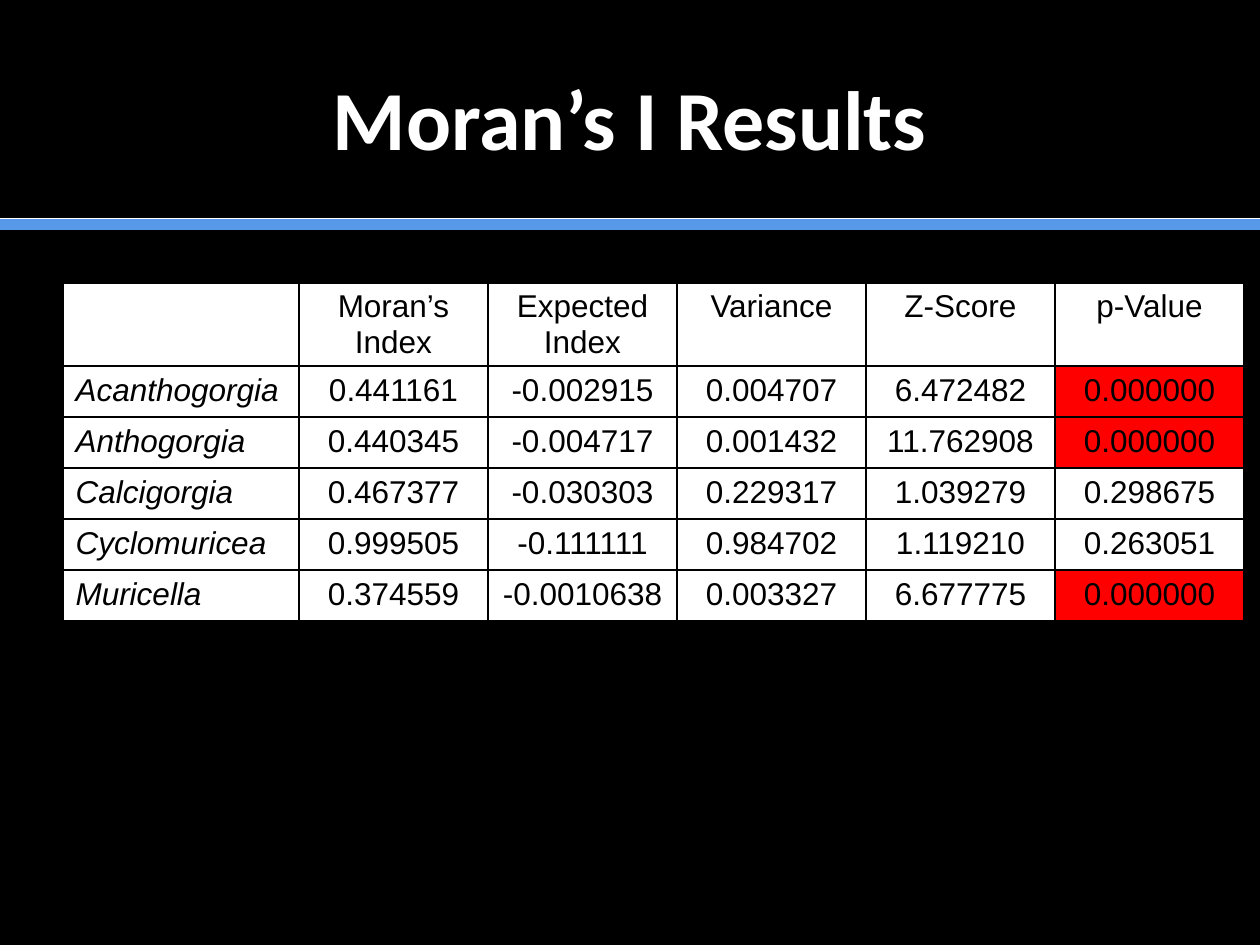
from lxml.etree import SubElement
from pptx import Presentation
from pptx.dml.color import RGBColor
from pptx.enum.shapes import MSO_CONNECTOR
from pptx.enum.text import MSO_ANCHOR, PP_ALIGN
from pptx.oxml.ns import qn
from pptx.util import Emu, Pt

PX_PER_INCH = 126
SLIDE_W, SLIDE_H = 1260, 945
COLORS = {
    "background": "000000",
    "title": "FFFFFF",
    "band": "5799E8",
    "hairline": "FFFFFF",
    "ink": "000000",
    "cell": "FFFFFF",
    "significant": "FF0000",
}
HEADERS = ["", "Moran’s Index", "Expected Index", "Variance", "Z-Score", "p-Value"]
GENERA = [
    ["Acanthogorgia", "0.441161", "-0.002915", "0.004707", "6.472482", "0.000000"],
    ["Anthogorgia", "0.440345", "-0.004717", "0.001432", "11.762908", "0.000000"],
    ["Calcigorgia", "0.467377", "-0.030303", "0.229317", "1.039279", "0.298675"],
    ["Cyclomuricea", "0.999505", "-0.111111", "0.984702", "1.119210", "0.263051"],
    ["Muricella", "0.374559", "-0.0010638", "0.003327", "6.677775", "0.000000"],
]
P_VALUE_COLUMN = len(HEADERS) - 1
SIGNIFICANCE = 0.05


def px(length):
    return Emu(round(length * 914400 / PX_PER_INCH))


def rgb(name):
    return RGBColor.from_string(COLORS[name])


class SlideBuilder:
    """Holds the style and the slide being built."""

    title_font, title_size = "Calibri", 48
    body_font, body_size = "Arial", 18

    def __init__(self, slide):
        self.slide = slide

    def background(self, color):
        fill = self.slide.background.fill
        fill.solid()
        fill.fore_color.rgb = rgb(color)

    def run(self, paragraph, text, font, size, color, bold=False, italic=False):
        run = paragraph.add_run()
        run.text = text
        run.font.name, run.font.size = font, Pt(size)
        run.font.bold, run.font.italic = bold, italic
        run.font.color.rgb = rgb(color)

    def title(self, text, left, top, width, height):
        heading = self.slide.shapes.title
        heading.left, heading.top = px(left), px(top)
        heading.width, heading.height = px(width), px(height)
        frame = heading.text_frame
        frame.vertical_anchor = MSO_ANCHOR.MIDDLE
        paragraph = frame.paragraphs[0]
        paragraph.alignment = PP_ALIGN.CENTER
        self.run(paragraph, text, self.title_font, self.title_size, "title", bold=True)

    def rule(self, y, color, weight):
        rule = self.slide.shapes.add_connector(
            MSO_CONNECTOR.STRAIGHT, 0, px(y), px(SLIDE_W), px(y))
        rule.line.color.rgb = rgb(color)
        rule.line.width = Pt(weight)
        SubElement(rule._element.spPr, qn("a:effectLst"))

    def borders(self, cell, color, weight):
        properties = cell._tc.get_or_add_tcPr()
        for side in ("a:lnL", "a:lnR", "a:lnT", "a:lnB"):
            edge = SubElement(properties, qn(side), w=str(Pt(weight)))
            fill = SubElement(edge, qn("a:solidFill"))
            SubElement(fill, qn("a:srgbClr"), val=COLORS[color])

    def cell(self, cell, text, fill, centered, italic):
        self.borders(cell, "ink", 1)
        cell.fill.solid()
        cell.fill.fore_color.rgb = rgb(fill)
        paragraph = cell.text_frame.paragraphs[0]
        paragraph.alignment = PP_ALIGN.CENTER if centered else PP_ALIGN.LEFT
        if text:
            self.run(paragraph, text, self.body_font, self.body_size, "ink", italic=italic)

    def table(self, rows, left, top, widths, heights):
        table = self.slide.shapes.add_table(
            len(rows), len(widths), px(left), px(top),
            px(sum(widths)), px(sum(heights))).table
        for column, width in zip(table.columns, widths):
            column.width = px(width)
        for row, height in zip(table.rows, heights):
            row.height = px(height)
        for r, values in enumerate(rows):
            for c, text in enumerate(values):
                significant = (r > 0 and c == P_VALUE_COLUMN
                               and float(text) < SIGNIFICANCE)
                self.cell(table.cell(r, c), text,
                          "significant" if significant else "cell",
                          centered=c > 0, italic=r > 0 and c == 0)


def main():
    presentation = Presentation()
    presentation.slide_width, presentation.slide_height = px(SLIDE_W), px(SLIDE_H)
    title_only = presentation.slide_layouts[5]
    builder = SlideBuilder(presentation.slides.add_slide(title_only))
    builder.background("background")

    # Double rule under the heading
    builder.rule(224, "band", 7)
    builder.rule(218, "hairline", 0.5)

    # Heading
    builder.title("Moran’s I Results", 63, 38, 1134, 157)

    # Results by genus
    builder.table([HEADERS] + GENERA, 63, 283,
                  widths=[236] + [189] * (len(HEADERS) - 1),
                  heights=[83] + [51] * len(GENERA))

    presentation.save("out.pptx")


if __name__ == "__main__":
    main()
